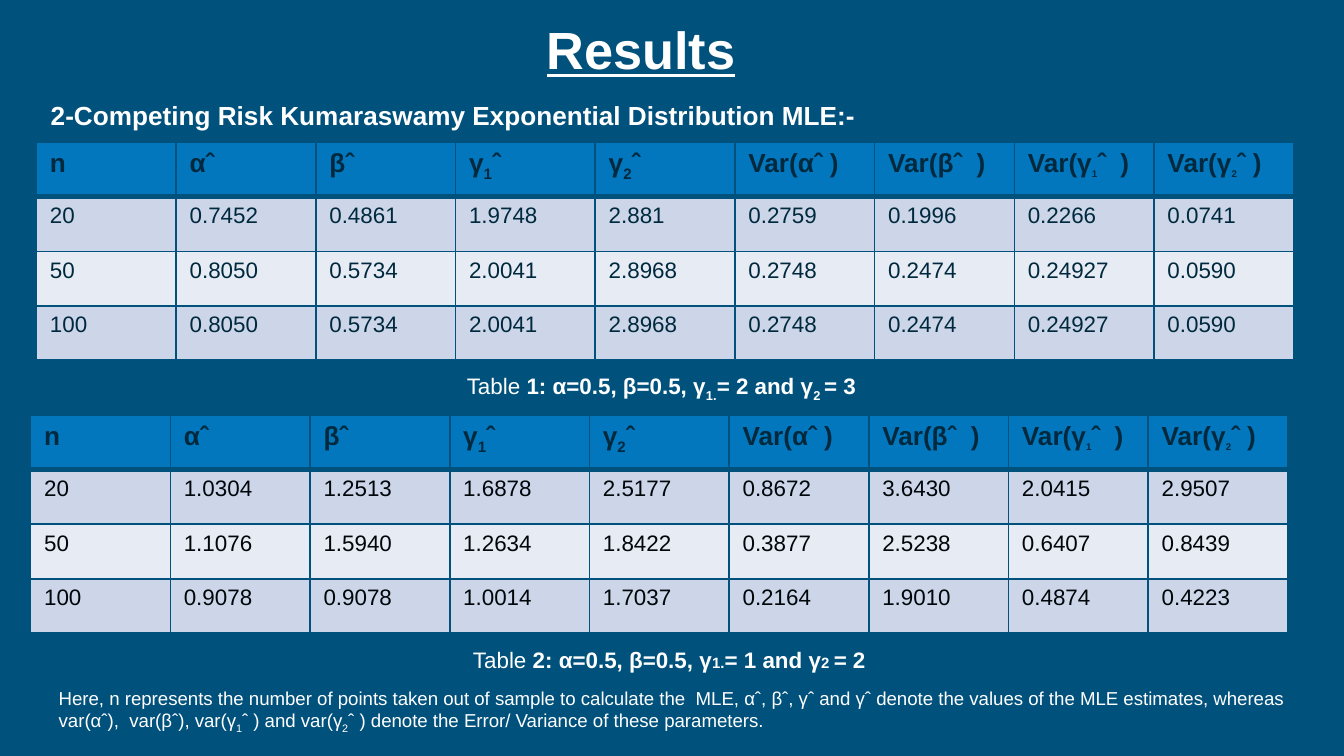
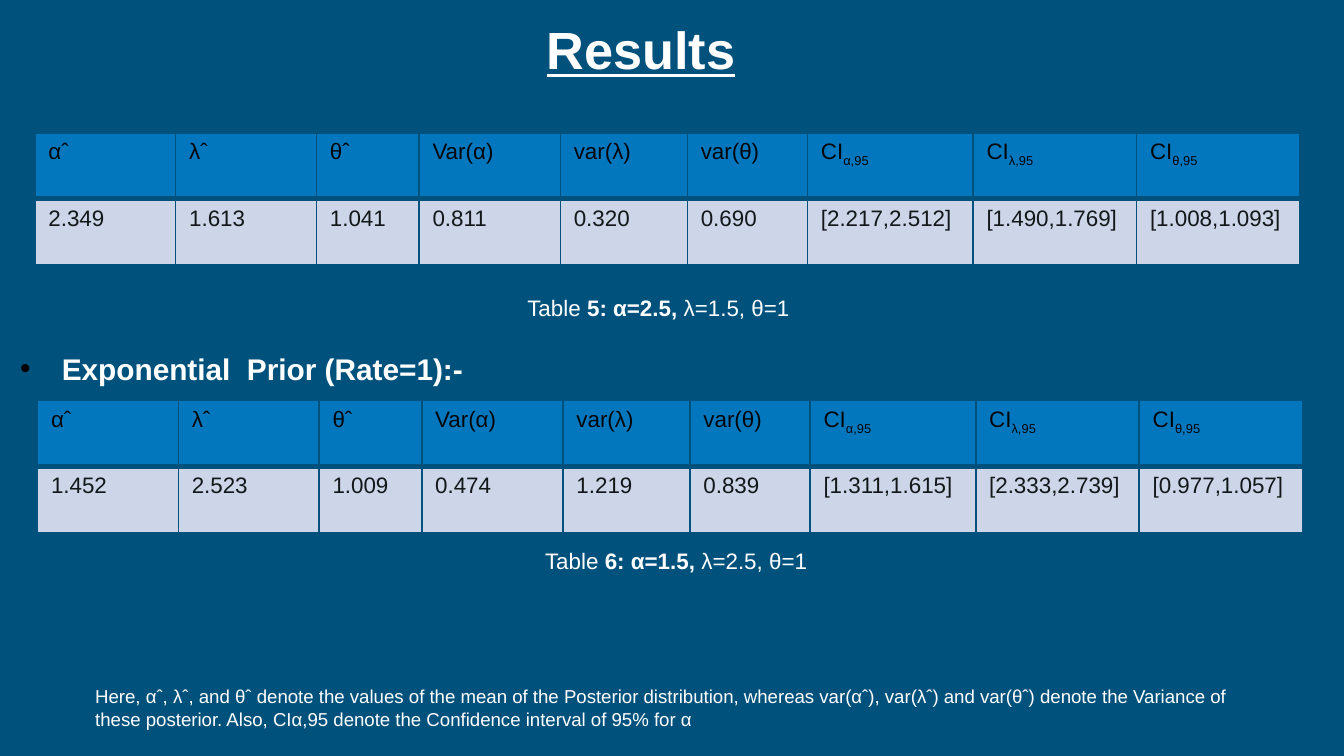
from lxml import etree
from pptx import Presentation
from pptx import util as u
from pptx.dml.color import RGBColor
from pptx.enum import text
from pptx.oxml.ns import qn

NAVY = RGBColor(0x00, 0x51, 0x7C)
HEADER = RGBColor(0x02, 0x77, 0xBD)
BAND_DARK = RGBColor(0xCC, 0xD6, 0xE8)
BAND_LIGHT = RGBColor(0xE7, 0xEC, 0xF4)
WHITE = RGBColor(0xFF, 0xFF, 0xFF)
BLACK = RGBColor(0x00, 0x00, 0x00)
INK_BLUE = RGBColor(0x00, 0x29, 0x3E)
INK_BLACK = RGBColor(0x00, 0x06, 0x0A)
INK_GREY = RGBColor(0x12, 0x17, 0x19)
FONT = "Arial"
SUB = {"sub": True}
SMALL_SUB = {"sub": True, "size": 9}
BOLD = {"bold": True}
BOLD_SUB = {"bold": True, "sub": True}
BOLD_SMALL = {"bold": True, "size": 8}


def write(tf, runs, align=text.PP_ALIGN.LEFT, **base):
    p = tf.paragraphs[0]
    p.alignment = align
    for run in [runs] if isinstance(runs, str) else runs:
        words, extra = (run, {}) if isinstance(run, str) else run
        fmt = {"size": 12, "color": WHITE, "bold": False, **base, **extra}
        r = p.add_run()
        r.text = words
        r.font.name = FONT
        r.font.size = u.Pt(fmt["size"])
        r.font.bold = fmt["bold"]
        r.font.underline = fmt.get("underline")
        r.font.color.rgb = fmt["color"]
        if fmt.get("sub"):
            r._r.get_or_add_rPr().set("baseline", "-25000")
    return p


def set_borders(cell, **widths):
    tc_pr = cell._tc.get_or_add_tcPr()
    for side in "LRTB":
        ln = etree.SubElement(tc_pr, qn(f"a:ln{side}"), w=str(u.Pt(widths.get(side, 1))))
        fill = etree.SubElement(ln, qn("a:solidFill"))
        etree.SubElement(fill, qn("a:srgbClr"), val=str(NAVY))


class Deck:
    def __init__(self):
        self.prs = Presentation()
        self.prs.slide_width = u.Cm(25.4)
        self.prs.slide_height = u.Cm(14.29)
        fill = self.prs.slide_master.background.fill
        fill.solid()
        fill.fore_color.rgb = NAVY
        self.s = None

    def slide(self, title):
        self.s = self.prs.slides.add_slide(self.prs.slide_layouts[5])
        sp = self.s.shapes.title
        sp.left, sp.top, sp.width, sp.height = map(u.Cm, (10.08, 0.2, 7.62, 1.45))
        self.frame(sp.text_frame)
        write(sp.text_frame, title, size=28, bold=True, underline=True)

    def frame(self, tf):
        tf.word_wrap = True
        tf.auto_size = text.MSO_AUTO_SIZE.SHAPE_TO_FIT_TEXT
        tf.vertical_anchor = text.MSO_ANCHOR.TOP

    def textbox(self, box, runs, **fmt):
        tf = self.s.shapes.add_textbox(*map(u.Cm, box)).text_frame
        self.frame(tf)
        return write(tf, runs, **fmt)

    def caption(self, box, runs, align=text.PP_ALIGN.CENTER):
        self.textbox(box, runs, align=align)

    def note(self, box, runs):
        self.textbox(box, runs, size=10)

    def bullet(self, box, words):
        p_pr = self.textbox(box, words, size=16, bold=True)._p.get_or_add_pPr()
        p_pr.set("marL", str(u.Cm(0.79)))
        p_pr.set("indent", str(-u.Cm(0.79)))
        color = etree.SubElement(p_pr, qn("a:buClr"))
        etree.SubElement(color, qn("a:srgbClr"), val=str(BLACK))
        etree.SubElement(p_pr, qn("a:buFont"), typeface=FONT)
        etree.SubElement(p_pr, qn("a:buChar"), char="•")

    def table(self, left, top, widths, row_height, header, rows, head_fmt, body_fmt):
        size = (sum(widths), row_height * (len(rows) + 1))
        table = self.s.shapes.add_table(
            len(rows) + 1, len(widths), *map(u.Cm, (left, top, *size))).table
        for col, width in zip(table.columns, widths):
            col.width = u.Cm(width)
        for i, values in enumerate([header, *rows]):
            table.rows[i].height = u.Cm(row_height)
            for j, value in enumerate(values):
                cell = table.cell(i, j)
                set_borders(cell, B=1 if i else 3, T=3 if i == 1 else 1)
                cell.fill.solid()
                cell.fill.fore_color.rgb = (
                    HEADER if i == 0 else BAND_DARK if i % 2 else BAND_LIGHT)
                write(cell.text_frame, value, **(body_fmt if i else head_fmt))


MLE_HEADER = [
    "n", "αˆ", "βˆ", ["γ", ("1", SUB), "ˆ"], ["γ", ("2", SUB), "ˆ"],
    "Var(αˆ )", "Var(βˆ  )",
    ["Var(γ", ("1", SMALL_SUB), "ˆ  )"], ["Var(γ", ("2", SMALL_SUB), "ˆ )"],
]
MLE_TABLES = [
    (0.69, 2.69, INK_BLUE, [
        "20 0.7452 0.4861 1.9748 2.881 0.2759 0.1996 0.2266 0.0741",
        "50 0.8050 0.5734 2.0041 2.8968 0.2748 0.2474 0.24927 0.0590",
        "100 0.8050 0.5734 2.0041 2.8968 0.2748 0.2474 0.24927 0.0590"]),
    (0.58, 7.85, INK_BLACK, [
        "20 1.0304 1.2513 1.6878 2.5177 0.8672 3.6430 2.0415 2.9507",
        "50 1.1076 1.5940 1.2634 1.8422 0.3877 2.5238 0.6407 0.8439",
        "100 0.9078 0.9078 1.0014 1.7037 0.2164 1.9010 0.4874 0.4223"]),
]
POSTERIOR_HEADER = ["αˆ", "λˆ", "θˆ", "Var(α)", "var(λ)", "var(θ)"] + [
    ["CI", (f"{name},95", SUB)] for name in "αλθ"]
POSTERIOR_WIDTHS = [2.66, 2.66, 1.94, 2.67, 2.4, 2.27, 3.13, 3.09, 3.09]
POSTERIOR_TABLES = [
    (0.66, 2.51, "2.349 1.613 1.041 0.811 0.320 0.690 "
                 "[2.217,2.512] [1.490,1.769] [1.008,1.093]"),
    (0.71, 7.57, "1.452 2.523 1.009 0.474 1.219 0.839 "
                 "[1.311,1.615] [2.333,2.739] [0.977,1.057]"),
]


def mle_slide(deck):
    deck.slide("Results")
    deck.textbox((0.71, 1.75, 24.18, 1.45),
                 "2-Competing Risk Kumaraswamy Exponential Distribution MLE:-",
                 size=14, bold=True)
    for left, top, ink, rows in MLE_TABLES:
        deck.table(left, top, [2.64] * 9, 1.03, MLE_HEADER, [row.split() for row in rows],
                   {"size": 14, "bold": True, "color": INK_BLUE}, {"color": ink})
    deck.caption((3.61, 6.91, 17.78, 0.76), [
        "Table", (" 1: α=0.5, β=0.5, γ", BOLD), ("1.", BOLD_SUB),
        ("= 2 and γ", BOLD), ("2 ", BOLD_SUB), ("= 3", BOLD)])
    deck.caption((8.69, 12.09, 11.07, 0.76), [
        "Table", (" 2: α=0.5, β=0.5, γ", BOLD), ("1.", BOLD_SMALL),
        ("= 1 and γ", BOLD), ("2 ", BOLD_SMALL), ("= 2", BOLD)],
        align=text.PP_ALIGN.LEFT)
    deck.note((0.86, 12.85, 23.85, 1.43), [
        "Here, n represents the number of points taken out of sample to calculate the  MLE, "
        "αˆ, βˆ, γˆ and γˆ denote the values of the MLE estimates, whereas "
        "var(αˆ),  var(βˆ), var(γ", ("1", SUB), "ˆ ) and var(γ", ("2", SUB),
        "ˆ ) denote the Error/ Variance of these parameters."])


def posterior_slide(deck):
    deck.slide("Results")
    for left, top, row in POSTERIOR_TABLES:
        deck.table(left, top, POSTERIOR_WIDTHS, 1.25, POSTERIOR_HEADER, [row.split()],
                   {"color": INK_BLACK}, {"color": INK_GREY})
    deck.caption((6.91, 5.44, 11.07, 1.27),
                 ["Table", (" 5: α=2.5, ", BOLD), "λ=1.5, θ=1"])
    deck.bullet((0.13, 6.5, 15.37, 1.63), "Exponential  Prior (Rate=1):-")
    deck.caption((8.97, 10.21, 7.62, 1.27),
                 ["Table", (" 6: α=1.5, ", BOLD), "λ=2.5, θ=1"])
    deck.note((1.55, 12.83, 21.89, 1.12),
              "Here, αˆ, λˆ, and θˆ denote the values of the mean of the Posterior "
              "distribution, whereas var(αˆ), var(λˆ) and var(θˆ) denote the Variance of "
              "these posterior. Also, CIα,95 denote the Confidence interval of 95% for α")


def main():
    deck = Deck()
    mle_slide(deck)
    posterior_slide(deck)
    deck.prs.save("out.pptx")


if __name__ == "__main__":
    main()
